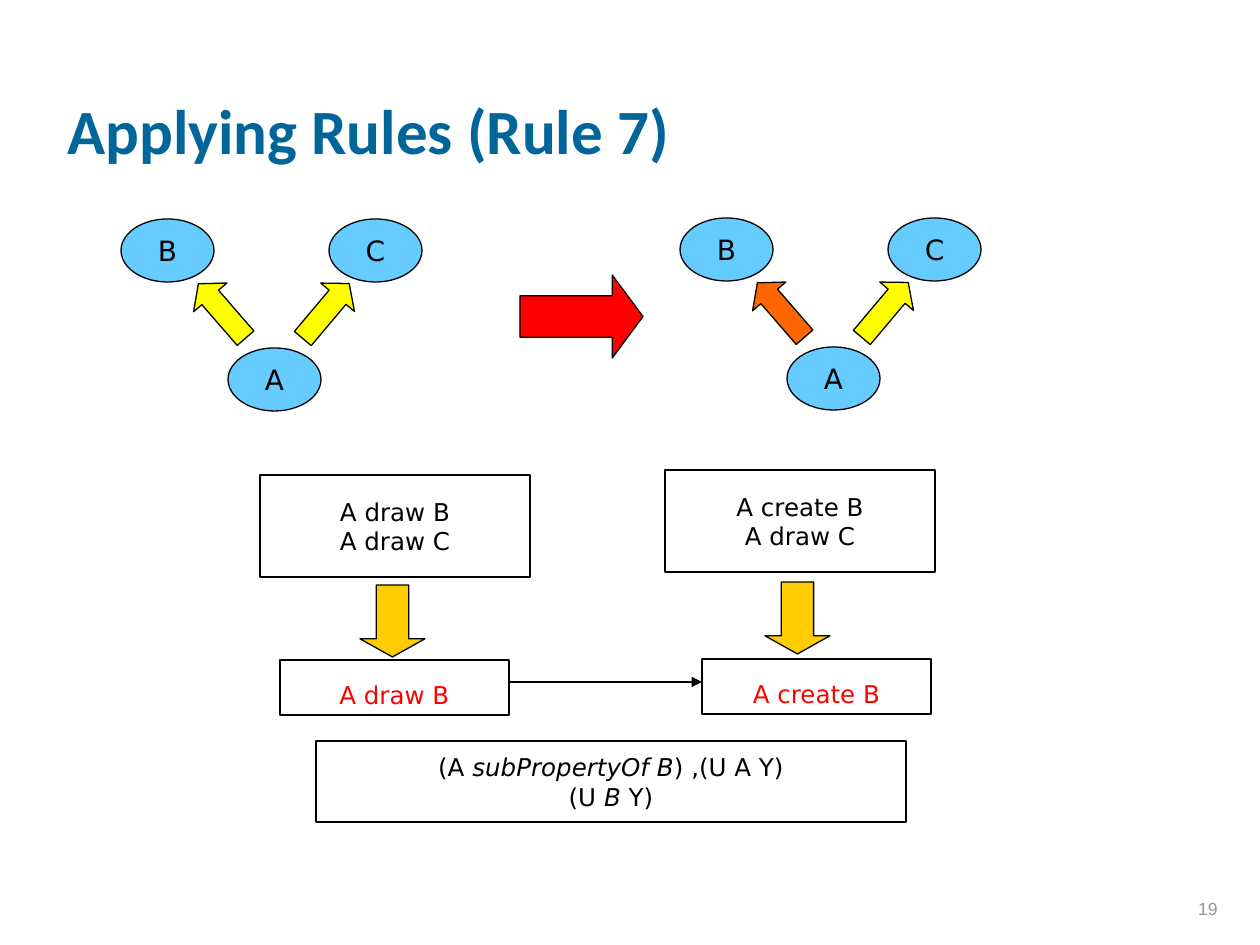
"""Build the slide that shows Rule 7 applied to a graph and to its statements."""
from dataclasses import dataclass
from typing import Optional

import pptx
import pptx.dml.color
import pptx.enum.shapes
import pptx.enum.text
import pptx.oxml.ns
import pptx.util
from lxml import etree

EMU_PER_PX = 914400 / 126
SHAPE = pptx.enum.shapes.MSO_SHAPE
ALIGN = pptx.enum.text.PP_ALIGN
ANCHOR = pptx.enum.text.MSO_ANCHOR
COLORS = {
    "black": "000000", "title": "006699", "number": "969696", "node": "66CCFF",
    "yellow": "FFFF00", "orange": "FF6600", "red": "FF0000", "gold": "FFCC00",
}
FORMATS = {
    "title": {"name": "Calibri", "size": pptx.util.Pt(36), "bold": True},
    "number": {"name": "Arial", "size": pptx.util.Pt(10)},
    "node": {"name": "DejaVu Sans", "size": pptx.util.Pt(16)},
    "statement": {"name": "DejaVu Sans", "size": pptx.util.Pt(14)},
}


@dataclass(frozen=True)
class Run:
    text: str
    italic: bool = False


@dataclass(frozen=True)
class Box:
    left: int
    top: int
    width: int
    height: int
    lines: tuple[tuple[Run, ...], ...]
    color: str = "black"
    drop: int = 0


@dataclass(frozen=True)
class Arrow:
    kind: SHAPE
    left: int
    top: int
    width: int
    height: int
    fill: str
    head: float
    rotation: float = 0


@dataclass(frozen=True)
class Graph:
    left: int
    top: int
    edge_to_b: str


def plain(*texts: str) -> tuple[tuple[Run, ...], ...]:
    """Turn each text into a line of one upright run."""
    return tuple((Run(text),) for text in texts)


GRAPHS = [Graph(121, 219, "yellow"), Graph(680, 218, "orange")]
NODES = {"A": (107, 129), "B": (0, 0), "C": (208, 0)}
ARROWS = [
    Arrow(SHAPE.RIGHT_ARROW, 520, 275, 123, 83, "red", 0.37),
    Arrow(SHAPE.DOWN_ARROW, 360, 585, 65, 72, "gold", 0.28),
    Arrow(SHAPE.DOWN_ARROW, 765, 582, 65, 72, "gold", 0.28),
]
BOXES = [
    Box(260, 475, 270, 102, plain("A draw B", "A draw C")),
    Box(665, 470, 270, 102, plain("A create B", "A draw C")),
    Box(280, 660, 229, 55, plain("A draw B"), "red", 7),
    Box(702, 659, 229, 55, plain("A create B"), "red", 7),
    Box(316, 741, 590, 81, (
        (Run("(A "), Run("subPropertyOf B", True), Run(") ,(U A Y)")),
        (Run("(U "), Run("B", True), Run(" Y)")),
    )),
]


def px(length: int) -> pptx.util.Emu:
    """Convert pixels to EMU."""
    return pptx.util.Emu(round(length * EMU_PER_PX))


def rgb(name: str) -> pptx.dml.color.RGBColor:
    """Look up a named colour."""
    return pptx.dml.color.RGBColor.from_string(COLORS[name])


def write(shape, lines, style: str, color: str, align: ALIGN, anchor: ANCHOR) -> None:
    """Fill a shape with lines of formatted runs."""
    frame = shape.text_frame
    frame.vertical_anchor = anchor
    for index, line in enumerate(lines):
        paragraph = frame.add_paragraph() if index else frame.paragraphs[0]
        paragraph.alignment = align
        for part in line:
            run = paragraph.add_run()
            run.text = part.text
            for attribute, value in FORMATS[style].items():
                setattr(run.font, attribute, value)
            run.font.italic = part.italic
            run.font.color.rgb = rgb(color)


def add_outlined(slide, kind: SHAPE, left: int, top: int, width: int, height: int,
                 fill: Optional[str] = None):
    """Add a preset shape with a thin black outline."""
    shape = slide.shapes.add_shape(kind, px(left), px(top), px(width), px(height))
    shape.shadow.inherit = False
    shape.text_frame.word_wrap = False
    if fill:
        shape.fill.solid()
        shape.fill.fore_color.rgb = rgb(fill)
    else:
        shape.fill.background()
    shape.line.color.rgb = rgb("black")
    shape.line.width = pptx.util.Pt(0.75)
    return shape


def add_arrow(slide, arrow: Arrow) -> None:
    """Add a block arrow."""
    shape = add_outlined(slide, arrow.kind, arrow.left, arrow.top,
                         arrow.width, arrow.height, arrow.fill)
    shape.adjustments[0] = 0.5
    shape.adjustments[1] = arrow.head
    shape.rotation = arrow.rotation


def add_graph(slide, graph: Graph) -> None:
    """Add three nodes and the two edges that leave A."""
    for name, (across, down) in NODES.items():
        node = add_outlined(slide, SHAPE.OVAL, graph.left + across, graph.top + down,
                            93, 63, "node")
        write(node, plain(name), "node", "black", ALIGN.CENTER, ANCHOR.MIDDLE)
    for across, fill, rotation in ((183, "yellow", 40.1), (79, graph.edge_to_b, 319.1)):
        add_arrow(slide, Arrow(SHAPE.UP_ARROW, graph.left + across, graph.top + 56,
                               44, 72, fill, 0.41, rotation))


def add_box(slide, box: Box) -> None:
    """Add a box of statements, its text lowered by the drop."""
    shape = add_outlined(slide, SHAPE.RECTANGLE, box.left, box.top, box.width, box.height)
    shape.text_frame.margin_top = px(6 + box.drop)
    shape.text_frame.margin_bottom = px(6 - box.drop)
    write(shape, box.lines, "statement", box.color, ALIGN.CENTER, ANCHOR.MIDDLE)


def add_link(slide, start: int, end: int, top: int) -> None:
    """Add a level line with an arrowhead at its end."""
    link = slide.shapes.add_connector(pptx.enum.shapes.MSO_CONNECTOR.STRAIGHT,
                                      px(start), px(top), px(end), px(top))
    link.line.color.rgb = rgb("black")
    link.line.width = pptx.util.Pt(0.75)
    qn = pptx.oxml.ns.qn
    etree.SubElement(link.line._get_or_add_ln(), qn("a:tailEnd"), type="triangle")
    etree.SubElement(link._element.spPr, qn("a:effectLst"))


def add_label(slide, left: int, top: int, width: int, height: int, text: str,
              style: str, align: ALIGN) -> None:
    """Add a text box whose text stands at the bottom."""
    label = slide.shapes.add_textbox(px(left), px(top), px(width), px(height))
    label.text_frame.word_wrap = True
    write(label, plain(text), style, style, align, ANCHOR.BOTTOM)


def main() -> None:
    """Draw the slide and save it."""
    presentation = pptx.Presentation()
    presentation.slide_width, presentation.slide_height = px(1260), px(945)
    slide = presentation.slides.add_slide(presentation.slide_layouts[6])
    add_label(slide, 968, 862, 262, 63, "19", "number", ALIGN.RIGHT)
    add_label(slide, 55, 15, 1071, 158, "Applying Rules (Rule 7)", "title", ALIGN.LEFT)
    for graph in GRAPHS:
        add_graph(slide, graph)
    for arrow in ARROWS:
        add_arrow(slide, arrow)
    for box in BOXES:
        add_box(slide, box)
    add_link(slide, 509, 702, 682)
    presentation.save("out.pptx")


if __name__ == "__main__":
    main()
